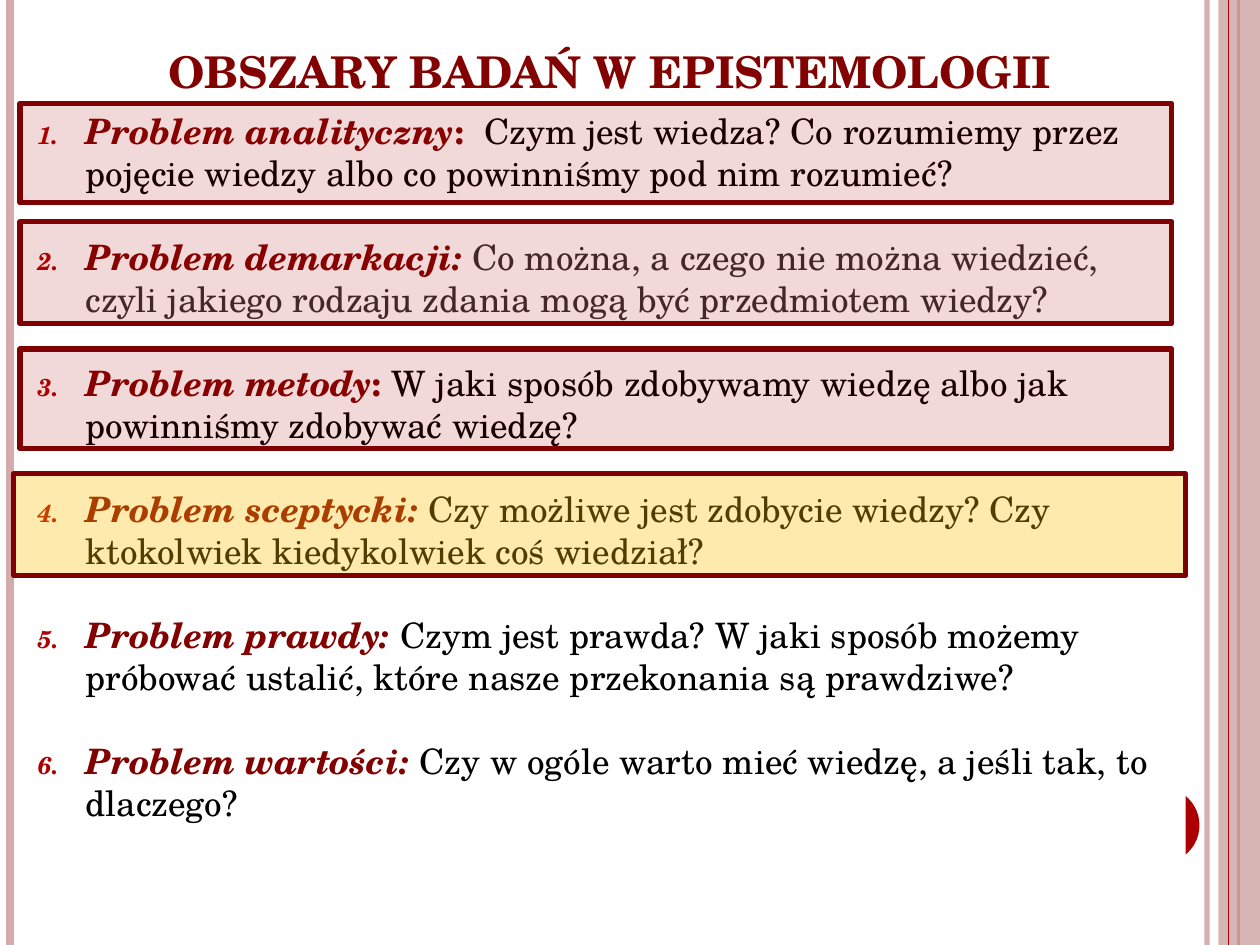
from lxml import etree
from pptx import Presentation
from pptx.dml.color import RGBColor
from pptx.enum.shapes import MSO_CONNECTOR, MSO_SHAPE
from pptx.enum.text import MSO_ANCHOR, PP_ALIGN
from pptx.oxml.ns import qn
from pptx.util import Inches, Pt

STRAIGHT = MSO_CONNECTOR.STRAIGHT
RECTANGLE, OVAL = MSO_SHAPE.RECTANGLE, MSO_SHAPE.OVAL
TOP, BOTTOM = MSO_ANCHOR.TOP, MSO_ANCHOR.BOTTOM
LEFT, CENTER = PP_ALIGN.LEFT, PP_ALIGN.CENTER

WHITE = RGBColor(0xFF, 0xFF, 0xFF)
BLACK = RGBColor(0x00, 0x00, 0x00)
GRAY = RGBColor(0x30, 0x30, 0x30)
PINK = RGBColor(0xD3, 0xAB, 0xAB)
RED = RGBColor(0xAD, 0x01, 0x01)
MAROON = RGBColor(0x82, 0x01, 0x01)
BORDER = RGBColor(0x80, 0x01, 0x01)
AMBER = RGBColor(0xFF, 0xC0, 0x00)

COLUMNS, ROWS = 100, 75


class Slide:
    font = "TeX Gyre Schola"
    indent = Inches(0.38)

    def __init__(self, deck):
        self.page = deck.slides.add_slide(deck.slide_layouts[6])
        self.column = deck.slide_width / COLUMNS
        self.row = deck.slide_height / ROWS

    def place(self, left, top, width, height):
        return (round(left * self.column), round(top * self.row),
                round(width * self.column), round(height * self.row))

    def fade(self, element, percent):
        color = next(element.iter(qn("a:srgbClr")))
        etree.SubElement(color, qn("a:alpha"), val=str(percent * 1000))

    def stripe(self, column, color, width, opacity=100):
        x, _, _, bottom = self.place(column, 0, 0, ROWS)
        line = self.page.shapes.add_connector(STRAIGHT, x, 0, x, bottom)
        line.line.color.rgb = color
        line.line.width = Pt(width)
        properties = line._element.spPr
        if opacity < 100:
            self.fade(properties, opacity)
        etree.SubElement(properties, qn("a:effectLst"))

    def shape(self, kind, area, color, opacity=100, border=None):
        shape = self.page.shapes.add_shape(kind, *self.place(*area))
        shape.shadow.inherit = False
        shape.fill.solid()
        shape.fill.fore_color.rgb = color
        if opacity < 100:
            self.fade(shape._element.spPr.find(qn("a:solidFill")), opacity)
        if border is None:
            shape.line.fill.background()
        else:
            shape.line.color.rgb = border
            shape.line.width = Pt(3)
        return shape

    def span(self, para, text, size, color, bold=False, italic=False):
        span = para.add_run()
        span.text = text
        font = span.font
        font.name, font.size = self.font, Pt(size)
        font.bold, font.italic = bold, italic
        font.color.rgb = color

    def title(self, area, text):
        box = self.page.shapes.add_textbox(*self.place(*area))
        frame = box.text_frame
        frame.word_wrap = True
        frame.vertical_anchor = BOTTOM
        para = frame.paragraphs[0]
        para.alignment = CENTER
        self.span(para, text, 25, MAROON, bold=True)

    def number(self, para):
        properties = para._p.get_or_add_pPr()
        properties.set("marL", str(self.indent))
        properties.set("indent", str(-self.indent))
        color = etree.SubElement(properties, qn("a:buClr"))
        etree.SubElement(color, qn("a:srgbClr"), val=str(RED))
        etree.SubElement(properties, qn("a:buSzPct"), val="70000")
        etree.SubElement(properties, qn("a:buFont"), typeface="+mj-lt")
        etree.SubElement(properties, qn("a:buAutoNum"), type="arabicPeriod")

    def numbered_list(self, area, items):
        frame = self.shape(RECTANGLE, area, WHITE).text_frame
        frame.word_wrap = True
        frame.vertical_anchor = TOP
        for index, (name, colon, question, color) in enumerate(items):
            para = frame.add_paragraph() if index else frame.paragraphs[0]
            para.alignment = LEFT
            para.space_after = Pt(24)
            self.number(para)
            self.span(para, name, 20, MAROON, bold=True, italic=True)
            if colon:
                self.span(para, colon, 20, MAROON, bold=True)
            self.span(para, question, 20, color)


PROBLEMS = [
    ("Problem analityczny", ":  ",
     "Czym jest wiedza? Co rozumiemy przez pojęcie wiedzy albo co "
     "powinniśmy pod nim rozumieć?", BLACK),
    ("Problem demarkacji: ", "",
     "Co można, a czego nie można wiedzieć, czyli jakiego rodzaju zdania "
     "mogą być przedmiotem wiedzy?", GRAY),
    ("Problem metody", ": ",
     "W jaki sposób zdobywamy wiedzę albo jak powinniśmy zdobywać wiedzę?",
     BLACK),
    ("Problem sceptycki: ", "",
     "Czy możliwe jest zdobycie wiedzy? Czy ktokolwiek kiedykolwiek coś "
     "wiedział?", BLACK),
    ("Problem prawdy: ", "",
     "Czym jest prawda? W jaki sposób możemy próbować ustalić, które nasze "
     "przekonania są prawdziwe?", BLACK),
    ("Problem wartości: ", "",
     "Czy w ogóle warto mieć wiedzę, a jeśli tak, to dlaczego?", BLACK),
]

HIGHLIGHTS = [
    ((1.6, 8.2, 91.4, 7.9), RED, 15),
    ((1.1, 37.6, 93, 8.1), AMBER, 32),
    ((1.6, 27.7, 91.4, 7.9), RED, 15),
    ((1.6, 17.6, 91.4, 8.1), RED, 15),
]

deck = Presentation()
deck.slide_width, deck.slide_height = Inches(10), Inches(7.5)
slide = Slide(deck)

slide.stripe(95.8, PINK, 3, 93)
slide.stripe(0.8, PINK, 4.5)
slide.stripe(98.3, RED, 1.5)
slide.shape(RECTANGLE, (96.7, 0, 3.3, ROWS), PINK, 87)
slide.stripe(97.5, RED, 0.75)
slide.shape(OVAL, (89.2, 62.5, 6, 6), RED)

slide.title((2.7, 1.3, 91.4, 6.9), "OBSZARY BADAŃ W EPISTEMOLOGII")
slide.numbered_list((2, 8.2, 92.1, 63.5), PROBLEMS)
for area, color, opacity in HIGHLIGHTS:
    slide.shape(RECTANGLE, area, color, opacity, BORDER)

deck.save("out.pptx")
